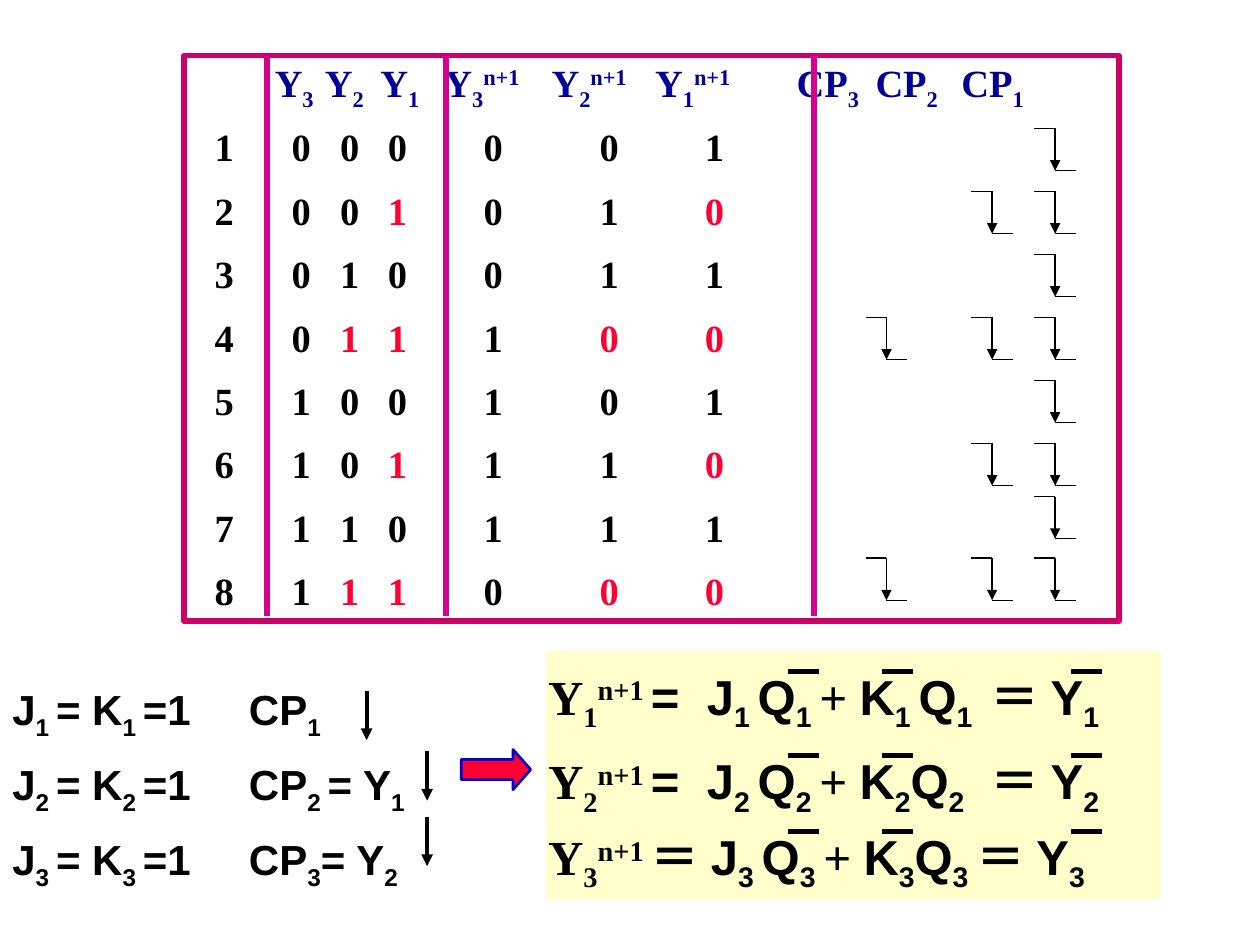
"""Build the slide of a three-bit ripple counter: state table and equations."""
from dataclasses import dataclass
from typing import Optional

from lxml.etree import SubElement as Sub
from pptx import Presentation
from pptx.dml.color import RGBColor as Rgb
from pptx.enum.shapes import MSO_CONNECTOR as Link, MSO_SHAPE as Kind
from pptx.enum.text import MSO_ANCHOR as Anchor, PP_ALIGN as Align
from pptx.oxml.ns import qn
from pptx.util import Cm, Pt


@dataclass(frozen=True)
class Theme:
    ink: str = "000000"
    head: str = "000099"
    red: str = "FF0033"
    frame: str = "CC0066"
    rule: str = "D60093"
    paper: str = "FFFFFF"
    panel: str = "FFFFCC"
    edge: str = "0000CC"
    serif: str = "Times New Roman"
    sans: str = "Arial"
    table: int = 22
    sum: int = 28
    drive: int = 24


@dataclass(frozen=True)
class Box:
    x: float
    y: float
    w: float
    h: float

    def emu(self) -> tuple:
        return Cm(self.x), Cm(self.y), Cm(self.w), Cm(self.h)


@dataclass(frozen=True)
class Pulse:
    x: float
    y: float


@dataclass(frozen=True)
class Sum:
    y: float
    text: str
    serif: int


LOOK = Theme()
BASE = {"_": "-25000", "^": "30000"}
HEADS = ("\tY|_3|\tY|_2|\tY|_1|\tY|_3|^n+1|\tY|_2|^n+1|\tY|_1|^n+1"
         "|\tCP|_3|\tCP|_2|\tCP|_1")
HEAD_TABS = (1.58, 2.59, 3.71, 5, 7.16, 9.25, 12.1, 13.69, 15.42)
ROW_TABS = (0.37, 1.92, 2.9, 3.86, 5.79, 8.13, 10.25)
TOPS = (2.59, 3.86, 5.13, 6.4, 7.67, 8.94, 10.01, 11.25)
CLOCKS = (20.85, 19.58, 17.45)
SUMS = (
    Sum(13.31, "Y|_1|^n+1 |=\tJ|_1 |Q|_1 |+ |K|_1 |Q|_1|\t＝ Y|_1", 3),
    Sum(15.01, "Y|_2|^n+1 |=\tJ|_2 |Q|_2 |+ |K|_2|Q|_2|\t＝ Y|_2", 3),
    Sum(16.54, "Y|_3|^n+1 |＝ J|_3 |Q|_3 |+ |K|_3|Q|_3 |＝ Y|_3", 3),
)
DRIVES = (
    "J|_1 |= K|_1 |=1\tCP|_1",
    "J|_2 |= K|_2 |=1\tCP|_2 |= Y|_1",
    "J|_3 |= K|_3 |=1\tCP|_3|= Y|_2",
)


def write(frame, text: str, *, size: int, font: str, color: str = LOOK.ink,
          tabs: tuple = (), gap: float = 0, pitch: float = 1,
          first: bool = True, serif: int = 0) -> None:
    """Add a paragraph; _ lowers, ^ raises, ! reddens a part."""
    para = frame.paragraphs[0] if first else frame.add_paragraph()
    para.alignment, para.line_spacing = Align.LEFT, pitch
    para.space_before = Pt(0 if first else gap)
    if tabs:
        stops = Sub(para._p.get_or_add_pPr(), qn("a:tabLst"))
        for tab in tabs:
            Sub(stops, qn("a:tab"), pos=str(Cm(tab)), algn="l")
    for i, part in enumerate(text.split("|")):
        mark = part[0] if part[0] in "_^!" else ""
        run = para.add_run()
        run.text = part[len(mark):]
        face = run.font
        face.size, face.bold = Pt(size), True
        face.name = LOOK.serif if i < serif or part == "+ " else font
        face.color.rgb = Rgb.from_string(LOOK.red if mark == "!" else color)
        if mark in BASE:
            run._r.get_or_add_rPr().set("baseline", BASE[mark])


def block(page, kind: Kind, box: Box, fill: str, edge: Optional[str] = None,
          width: float = 0):
    """Draw a filled preset shape."""
    shape = page.shapes.add_shape(kind, *box.emu())
    shape.shadow.inherit = False
    shape.fill.solid()
    shape.fill.fore_color.rgb = Rgb.from_string(fill)
    if edge:
        shape.line.color.rgb = Rgb.from_string(edge)
        shape.line.width = Pt(width)
    else:
        shape.line.fill.background()
    return shape


def note(page, box: Box):
    """Add a wrapping text box and return its frame."""
    frame = page.shapes.add_textbox(*box.emu()).text_frame
    frame.word_wrap = True
    return frame


def line(page, x: float, y: float, dx: float, dy: float, *, width: float,
         color: str = LOOK.ink, arrow: bool = False) -> None:
    """Draw a straight line by its start and extent."""
    wire = page.shapes.add_connector(
        Link.STRAIGHT, Cm(x), Cm(y), Cm(x + dx), Cm(y + dy))
    wire.line.width = Pt(width)
    wire.line.color.rgb = Rgb.from_string(color)
    if arrow:
        Sub(wire.line._get_or_add_ln(), qn("a:tailEnd"), type="triangle")
    Sub(wire._element.spPr, qn("a:effectLst"))


def edge(page, pulse: Pulse) -> None:
    """Draw a falling clock edge."""
    half, drop = 0.42, 0.85
    mid = pulse.x + half
    line(page, pulse.x, pulse.y, half, 0, width=0.75)
    line(page, mid, pulse.y, 0, drop, width=0.75, arrow=True)
    line(page, mid, pulse.y + drop, half, 0, width=0.75)


def table(page) -> None:
    """Draw the state table with its clock edges."""
    box = Box(3.71, 1.12, 18.85, 11.4)
    frame = block(page, Kind.RECTANGLE, box, LOOK.paper, LOOK.frame, 3).text_frame
    frame.vertical_anchor, frame.word_wrap = Anchor.TOP, True
    form = dict(size=LOOK.table, font=LOOK.serif, gap=13.8, pitch=0.85)
    write(frame, HEADS, color=LOOK.head, tabs=HEAD_TABS, **form)
    pulses = []
    for now, top in enumerate(TOPS):
        old, new = f"{now:03b}", f"{(now + 1) % 8:03b}"
        falls = [i > 0 and old[i] > new[i] for i in range(3)]
        cells = [("!" if fall else "") + "\t" + bit
                 for bits in (old, new) for bit, fall in zip(bits, falls)]
        write(frame, "|".join([f"\t{now + 1}", *cells]), tabs=ROW_TABS,
              first=False, **form)
        ticks = (True, falls[2], falls[1])
        pulses += [Pulse(x, top) for x, tick in zip(CLOCKS, ticks) if tick]
    for x in (5.38, 8.99, 16.41):
        line(page, x, box.y, 0, 11.3, width=3, color=LOOK.rule)
    for pulse in pulses:
        edge(page, pulse)


def sums(page) -> None:
    """Draw the next-state equations with their negation bars."""
    block(page, Kind.RECTANGLE, Box(11, 13.13, 12.4, 5), LOOK.panel)
    for item in SUMS:
        write(note(page, Box(10.8, item.y, 14.6, 1.6)), item.text,
              size=LOOK.sum, font=LOOK.sans, tabs=(3.2, 8.92),
              serif=item.serif)
        for x in (15.88, 17.78, 21.59):
            line(page, x, item.y + 0.22, 0.62, 0, width=3)


def drives(page) -> None:
    """Draw the input equations with their clock arrows."""
    frame = note(page, Box(0, 13.72, 9.4, 4.27))
    for i, text in enumerate(DRIVES):
        write(frame, text, size=LOOK.drive, font=LOOK.sans, tabs=(4.77,),
              gap=15, pitch=0.85, first=not i)
    for x, y in ((7.39, 13.92), (8.61, 15.14), (8.61, 16.46)):
        line(page, x, y, 0, 1, width=2.25, arrow=True)


def main() -> None:
    """Build and save the slide."""
    deck = Presentation()
    deck.slide_width, deck.slide_height = Cm(25.4), Cm(19.05)
    page = deck.slides.add_slide(deck.slide_layouts[6])
    table(page)
    sums(page)
    drives(page)
    arrow = block(page, Kind.RIGHT_ARROW, Box(9.3, 15.11, 1.4, 0.81),
                  LOOK.red, LOOK.edge, 1.5)
    arrow.adjustments[1] = 0.44
    deck.save("out.pptx")


if __name__ == "__main__":
    main()
